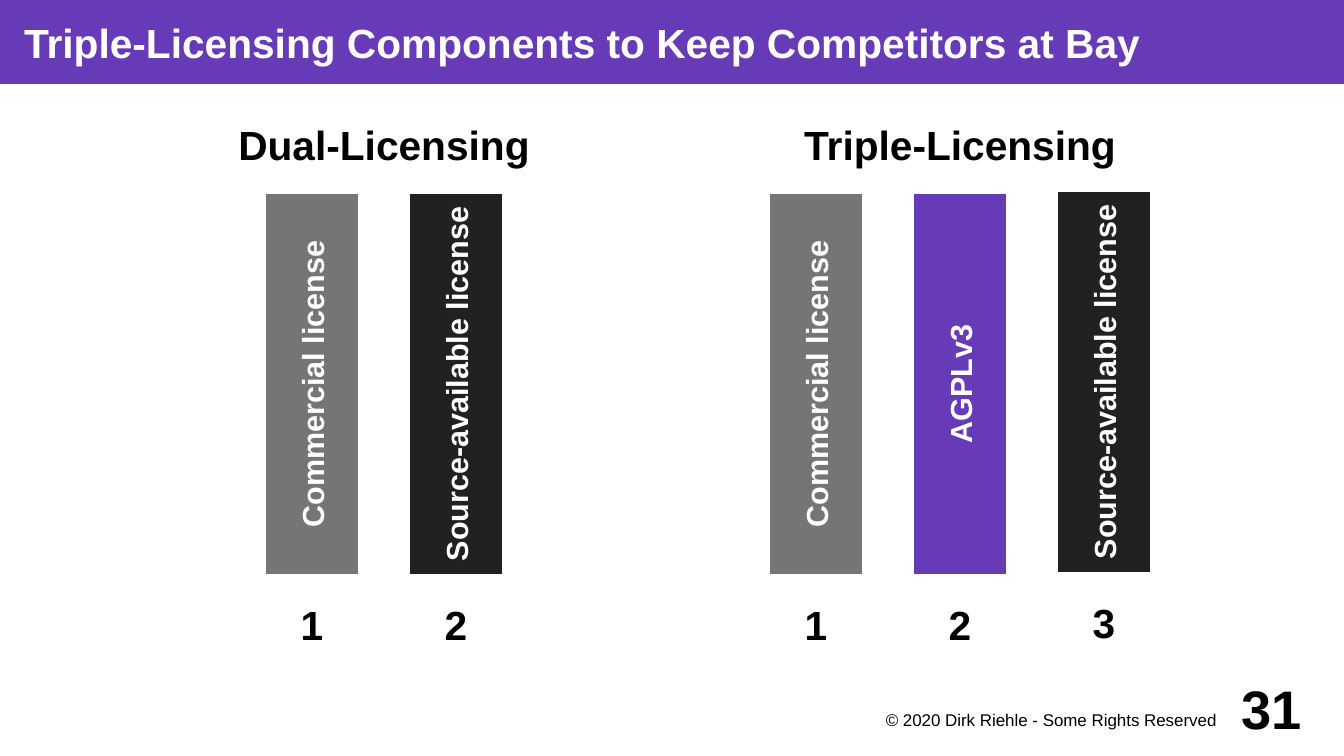
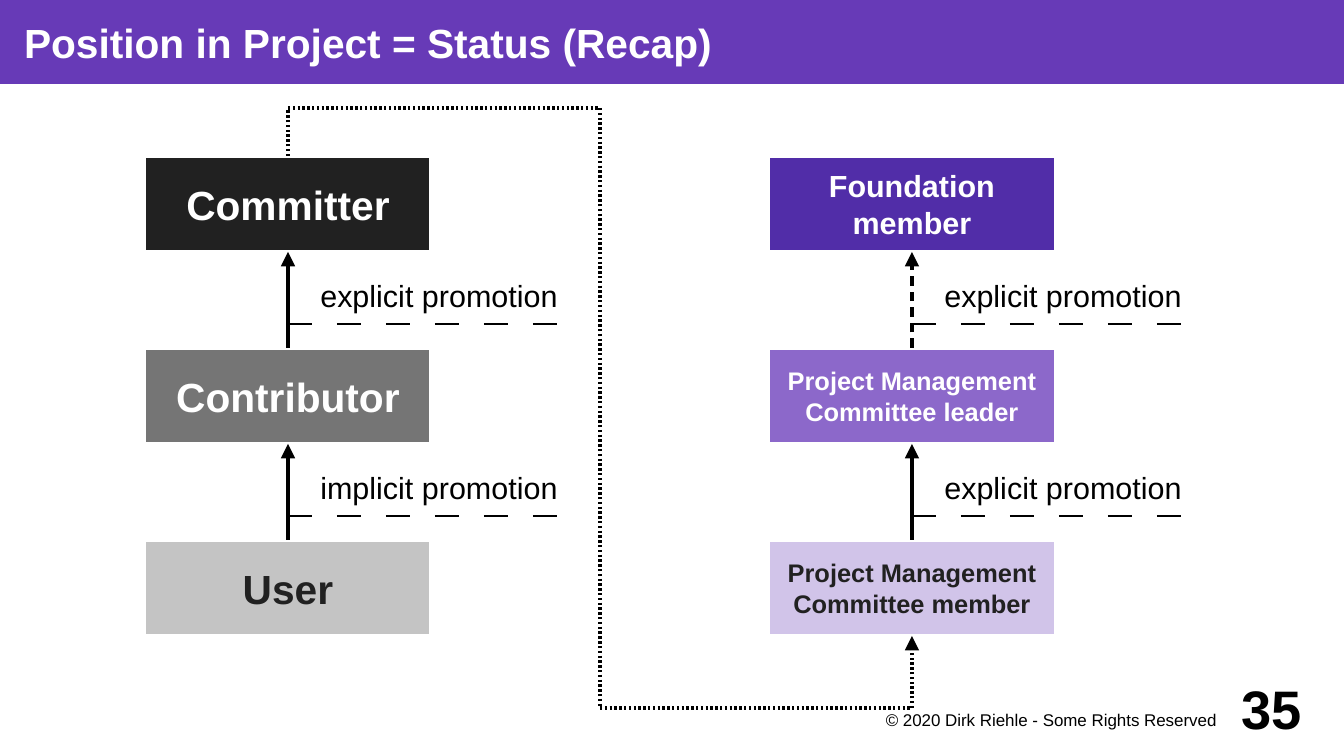
import dataclasses

import pptx
import pptx.dml.color
import pptx.enum.shapes
import pptx.enum.text
import pptx.oxml.ns
import pptx.util
from lxml import etree

ALIGN = pptx.enum.text.PP_ALIGN
ANCHOR = pptx.enum.text.MSO_ANCHOR
TOP, BOTTOM = 0, 2  # connection sites of a rectangle
EMU_PER_PX = 914400 / 122


@dataclasses.dataclass(frozen=True)
class Theme:
    font: str = "Arial"
    # Colours
    white: str = "FFFFFF"
    black: str = "000000"
    purple: str = "673AB7"
    deep_purple: str = "512DA8"
    mid_purple: str = "8C68CA"
    pale_purple: str = "D1C4E9"
    dark: str = "212121"
    gray: str = "757575"
    light_gray: str = "C4C4C4"
    # Type sizes
    heading: int = 24
    body: int = 18
    compact: int = 15
    copyright: int = 10
    number: int = 32
    # Line widths
    thick: float = 2.83
    thin: float = 1.45


THEME = Theme()

# Dash and gap, in percent of the line width
DOTTED = (50, 50)
DASHED = (200, 125)
WIDE_DASHED = (1000, 1000)

SLIDE_WIDTH, SLIDE_HEIGHT = 1344, 756
TITLE_HEIGHT = 84
CELL = 96  # bar thickness and box height
PITCH = 144  # from one bar to the next
BAR_LENGTH = 384
BOX_WIDTH = 288
BOX_TOPS = (156, 348, 540)


def px(length):
    return pptx.util.Emu(round(length * EMU_PER_PX))


def rgb(color):
    return pptx.dml.color.RGBColor.from_string(color)


# Text and shapes

def write(shape, text, size, color, bold=True, align=ALIGN.CENTER,
          anchor=ANCHOR.MIDDLE, insets=(10, 10, 10, 10)):
    frame = shape.text_frame
    frame.text = text
    frame.word_wrap = True
    frame.auto_size = pptx.enum.text.MSO_AUTO_SIZE.NONE
    frame.vertical_anchor = anchor
    (frame.margin_left, frame.margin_top,
     frame.margin_right, frame.margin_bottom) = map(px, insets)
    for paragraph in frame.paragraphs:
        paragraph.alignment = align
        paragraph.font.name = THEME.font
        paragraph.font.size = pptx.util.Pt(size)
        paragraph.font.bold = bold
        paragraph.font.color.rgb = rgb(color)


def add_label(slide, bounds, text, size=THEME.heading, **style):
    shape = slide.shapes.add_textbox(*map(px, bounds))
    write(shape, text, size, THEME.black, **style)


def add_box(slide, bounds, text, size, fill, color=THEME.white):
    shape = slide.shapes.add_shape(
        pptx.enum.shapes.MSO_SHAPE.RECTANGLE, *map(px, bounds))
    shape.shadow.inherit = False
    shape.fill.solid()
    shape.fill.fore_color.rgb = rgb(fill)
    shape.line.color.rgb = rgb(THEME.white)
    shape.line.width = pptx.util.Pt(THEME.thick)
    write(shape, text, size, color)
    return shape


def add_line(slide, start, end, width=THEME.thick, dash=None, arrow=False):
    connector = slide.shapes.add_connector(
        pptx.enum.shapes.MSO_CONNECTOR.STRAIGHT, *map(px, start + end))
    connector.line.color.rgb = rgb(THEME.black)
    connector.line.width = pptx.util.Pt(width)
    outline = connector.line._get_or_add_ln()
    qn = pptx.oxml.ns.qn
    if dash:
        pattern = etree.SubElement(outline, qn("a:custDash"))
        etree.SubElement(pattern, qn("a:ds"),
                         d=str(dash[0] * 1000), sp=str(dash[1] * 1000))
    if arrow:
        etree.SubElement(outline, qn("a:tailEnd"), type="triangle")
    etree.SubElement(connector._element.spPr, qn("a:effectLst"))
    return connector


# Parts shared by the slides

def add_slide(presentation, title, number):
    slide = presentation.slides.add_slide(presentation.slide_layouts[5])
    band = slide.shapes.title
    band.left, band.top, band.width, band.height = map(
        px, (0, 0, SLIDE_WIDTH, TITLE_HEIGHT))
    band.fill.solid()
    band.fill.fore_color.rgb = rgb(THEME.purple)
    write(band, title, THEME.heading, THEME.white,
          align=ALIGN.LEFT, insets=(24, 0, 0, 0))
    return slide


def add_footer(slide, number):
    add_label(slide, (864, 708, 384, 36),
              "© 2020 Dirk Riehle - Some Rights Reserved", THEME.copyright,
              bold=False, anchor=ANCHOR.TOP, insets=(0, 2, 10, 0))
    add_label(slide, (1224, 672, 96, 72), str(number), THEME.number,
              insets=(0, 0, 0, 0))


# Licensing slide

def add_bar(slide, center, number, text, fill, lift=0):
    bar = add_box(slide, (center - BAR_LENGTH / 2, 336 - lift, BAR_LENGTH, CELL),
                  text, THEME.body, fill)
    bar.rotation = 270
    add_label(slide, (center - CELL / 2, 576 - lift, CELL, CELL), str(number))


def build_licensing(presentation):
    slide = add_slide(presentation,
                      "Triple-Licensing Components to Keep Competitors at Bay", 31)
    commercial = ("Commercial license", THEME.gray)
    source_available = ("Source-available license", THEME.dark)
    agpl = ("AGPLv3", THEME.purple)
    models = [
        ("Dual-Licensing", 384, [commercial, source_available]),
        ("Triple-Licensing", 960, [commercial, agpl, source_available]),
    ]
    for heading, center, licenses in models:
        add_label(slide, (center - 192, 96, 384, CELL), heading)
        first = center - PITCH * (len(licenses) - 1) / 2
        for index, (text, fill) in enumerate(licenses):
            add_bar(slide, first + PITCH * index, index + 1, text, fill,
                    lift=2 if index == 2 else 0)
    add_footer(slide, 31)


# Project status slide

def add_ladder(slide, left, roles, promotions):
    """Stack the roles from the top down and join each to the one above."""
    boxes = [add_box(slide, (left, top, BOX_WIDTH, CELL), *role)
             for top, role in zip(BOX_TOPS, roles)]
    middle = left + BOX_WIDTH // 2
    for index, (text, dash) in enumerate(promotions):
        upper, lower = boxes[index:index + 2]
        bottom = BOX_TOPS[index] + CELL
        arrow = add_line(slide, (middle, BOX_TOPS[index + 1]), (middle, bottom),
                         dash=dash, arrow=True)
        arrow.begin_connect(lower, TOP)
        arrow.end_connect(upper, BOTTOM)
        add_line(slide, (middle, bottom + 72), (middle + 270, bottom + 72),
                 THEME.thin, WIDE_DASHED)
        add_label(slide, (middle, bottom, 288, 72), text, THEME.body, bold=False,
                  anchor=ANCHOR.BOTTOM, insets=(24, 10, 10, 10))
    return boxes


def build_status(presentation):
    slide = add_slide(presentation, "Position in Project = Status (Recap)", 35)
    project = add_ladder(
        slide, 144,
        [("Committer", THEME.heading, THEME.dark),
         ("Contributor", THEME.heading, THEME.gray),
         ("User", THEME.heading, THEME.light_gray, THEME.dark)],
        [("explicit promotion", None), ("implicit promotion", None)])
    foundation = add_ladder(
        slide, 768,
        [("Foundation\nmember", THEME.body, THEME.deep_purple),
         ("Project Management Committee leader", THEME.compact, THEME.mid_purple),
         ("Project Management\nCommittee member", THEME.compact,
          THEME.pale_purple, THEME.dark)],
        [("explicit promotion", DASHED), ("explicit promotion", None)])

    # Dotted route from committer to committee member
    route = [(288, 156), (288, 108), (600, 108), (600, 708), (912, 708), (912, 636)]
    segments = [add_line(slide, start, end, dash=DOTTED, arrow=end == route[-1])
                for start, end in zip(route, route[1:])]
    segments[0].begin_connect(project[0], TOP)
    segments[-1].end_connect(foundation[-1], BOTTOM)
    add_footer(slide, 35)


def main():
    presentation = pptx.Presentation()
    presentation.slide_width = px(SLIDE_WIDTH)
    presentation.slide_height = px(SLIDE_HEIGHT)
    build_licensing(presentation)
    build_status(presentation)
    presentation.save("out.pptx")


if __name__ == "__main__":
    main()
